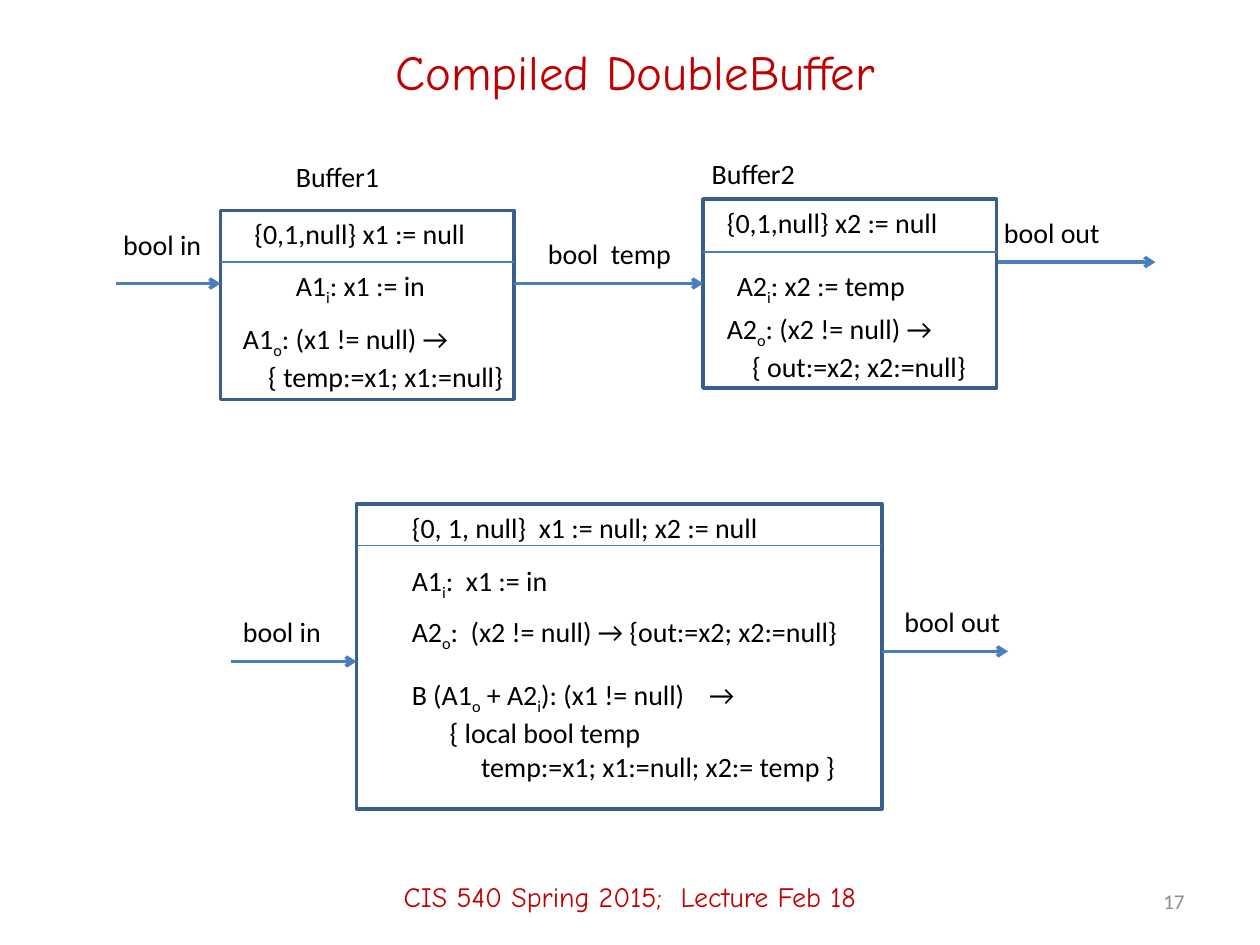
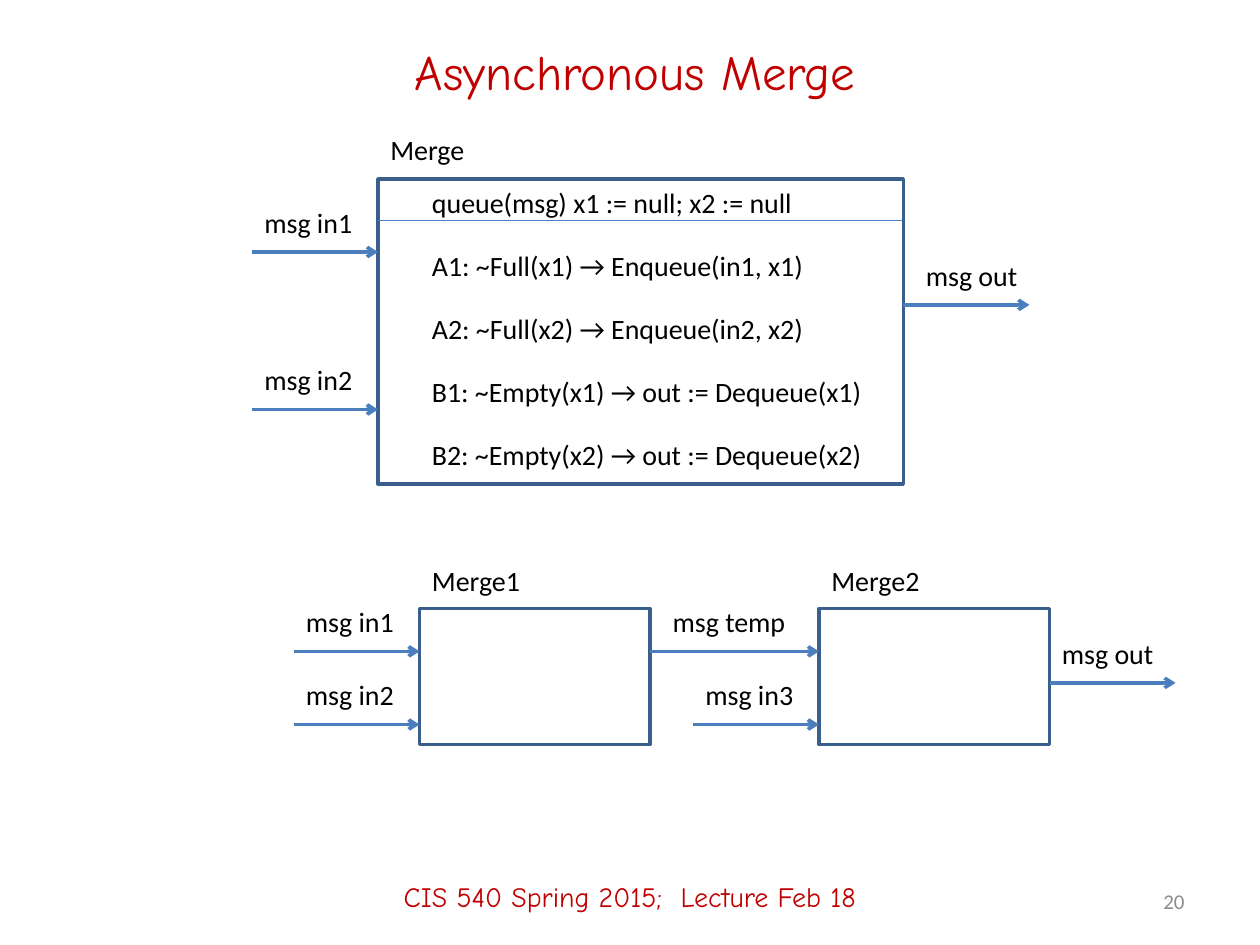
from dataclasses import dataclass

from lxml import etree
from pptx import Presentation
from pptx.dml.color import RGBColor
from pptx.enum import shapes, text
from pptx.oxml.ns import qn
from pptx.util import Inches, Pt


@dataclass(frozen=True)
class Theme:
    accent: str = "C00000"
    ink: str = "000000"
    muted: str = "8C8C8C"
    outline: str = "3A5F8C"
    wire: str = "4B7EBC"
    heading_font: str = "Comic Neue"
    body_font: str = "Calibri"
    title_size: int = 28
    body_size: int = 16
    number_size: int = 12
    thick: float = 2
    thin: float = 0.75


THEME = Theme()
FOOTER = "CIS 540 Spring 2015;  Lecture Feb 18"
LINE_HEIGHT = 0.27
LABEL_HEIGHT = 0.37
LABEL_RISE = 0.42


@dataclass
class Rule:
    """Text inside a component, placed from the component's top left corner."""
    dx: float
    dy: float
    width: float
    lines: tuple  # each a string, or an (indent, string) pair
    wrap: bool = False
    tab: float = 0


def style(paragraph, size, color=THEME.ink, font=THEME.body_font, align=None):
    paragraph.font.size = Pt(size)
    paragraph.font.name = font
    paragraph.font.color.rgb = RGBColor.from_string(color)
    if align is not None:
        paragraph.alignment = align


def write(paragraph, marked):
    """Add runs; parts between bars become subscripts."""
    for index, part in enumerate(marked.split("|")):
        span = paragraph.add_run()
        span.text = part
        if index % 2:
            span._r.get_or_add_rPr().set("baseline", "-25000")


def add_tab(paragraph, position):
    stops = etree.SubElement(paragraph._p.get_or_add_pPr(), qn("a:tabLst"))
    etree.SubElement(stops, qn("a:tab"), pos=str(Inches(position)), algn="l")


def add_text(page, left, top, width, lines, wrap=False, tab=0):
    height = LABEL_HEIGHT + LINE_HEIGHT * (len(lines) - 1)
    box = page.shapes.add_textbox(
        Inches(left), Inches(top), Inches(width), Inches(height))
    frame = box.text_frame
    frame.word_wrap = wrap
    frame.auto_size = text.MSO_AUTO_SIZE.SHAPE_TO_FIT_TEXT
    for index, line in enumerate(lines):
        indent, words = (0, line) if isinstance(line, str) else line
        paragraph = frame.add_paragraph() if index else frame.paragraphs[0]
        if indent:
            paragraph._p.get_or_add_pPr().set("marL", str(Inches(indent)))
        if tab and "\t" in words:
            add_tab(paragraph, tab)
        write(paragraph, words)
        style(paragraph, THEME.body_size)


def add_line(page, left, top, length, weight, arrow=False):
    line = page.shapes.add_connector(
        shapes.MSO_CONNECTOR.STRAIGHT,
        Inches(left), Inches(top), Inches(left + length), Inches(top))
    line.line.color.rgb = RGBColor.from_string(THEME.wire)
    line.line.width = Pt(weight)
    if arrow:
        etree.SubElement(line.line._get_or_add_ln(), qn("a:tailEnd"), type="arrow")
    etree.SubElement(line._element.spPr, qn("a:effectLst"))


def add_channel(page, left, top, length, label, width, dx=0, rise=LABEL_RISE):
    """Arrow with its message label above it."""
    add_line(page, left, top, length, THEME.thick, arrow=True)
    add_text(page, left + dx, top - rise, width, [label])


def add_component(page, left, top, width, height, divider=0, rules=(), name=None):
    """Outlined process box; name is (text, dx, rise, text width)."""
    box = page.shapes.add_shape(
        shapes.MSO_SHAPE.RECTANGLE,
        Inches(left), Inches(top), Inches(width), Inches(height))
    box.shadow.inherit = False
    box.fill.background()
    box.line.color.rgb = RGBColor.from_string(THEME.outline)
    box.line.width = Pt(THEME.thick)
    if divider:
        add_line(page, left, top + divider, width, THEME.thin)
    if name:
        title, dx, rise, title_width = name
        add_text(page, left + dx, top - rise, title_width, [title])
    for rule in rules:
        add_text(page, left + rule.dx, top + rule.dy, rule.width,
                 rule.lines, rule.wrap, rule.tab)


def add_band(page, left, top, width, height, words, **look):
    box = page.shapes.add_textbox(
        Inches(left), Inches(top), Inches(width), Inches(height))
    frame = box.text_frame
    frame.word_wrap = True
    frame.vertical_anchor = text.MSO_ANCHOR.MIDDLE
    frame.text = words
    style(frame.paragraphs[0], **look)


def add_page(deck, title, number):
    page = deck.slides.add_slide(deck.slide_layouts[5])
    heading = page.shapes.title
    heading.left, heading.top = Inches(0.75), Inches(0.17)
    heading.width, heading.height = Inches(8.58), Inches(0.78)
    frame = heading.text_frame
    frame.text = title
    frame.vertical_anchor = text.MSO_ANCHOR.MIDDLE
    center = text.PP_ALIGN.CENTER
    style(frame.paragraphs[0], THEME.title_size, THEME.accent,
          THEME.heading_font, center)
    add_band(page, 0, 6.72, 10, 0.78, FOOTER, size=THEME.body_size,
             color=THEME.accent, font=THEME.heading_font, align=center)
    add_band(page, 7.17, 6.95, 2.33, 0.4, str(number), size=THEME.number_size,
             color=THEME.muted, align=text.PP_ALIGN.RIGHT)
    return page


def draw_buffer_chain(page, left, top):
    """Two buffers in series; left and top are the first buffer's corner."""
    add_component(page, left, top, 2.33, 1.5, 0.41, [
        Rule(0.17, 0, 1.89, ("{0,1,null} x1 := null",)),
        Rule(0.5, 0.41, 1.24, ("A1|i|: x1 := in",)),
        Rule(0.08, 0.83, 2.29,
             ("A1|o|: (x1 != null) →", (0.2, "{ temp:=x1; x1:=null}"))),
    ], ("Buffer1", 0.5, 0.45, 0.88))
    add_component(page, left + 3.83, top - 0.09, 2.33, 1.5, 0.42, [
        Rule(0.09, 0, 1.89, ("{0,1,null} x2 := null",)),
        Rule(0.17, 0.5, 1.56, ("A2|i|: x2 := temp",)),
        Rule(0.09, 0.84, 2.12,
             ("A2|o|: (x2 != null) →", (0.2, "{ out:=x2; x2:=null}"))),
    ], ("Buffer2", -0.03, 0.39, 0.88))
    add_channel(page, left - 0.83, top + 0.58, 0.83, "bool in", 0.83, -0.04, 0.49)
    add_channel(page, left + 2.33, top + 0.58, 1.5, "bool  temp", 1.19, 0.17)
    add_channel(page, left + 6.17, top + 0.41, 1.25, "bool out", 0.97, -0.05)


def draw_compiled_buffer(page, left, top):
    inset = 0.34
    add_component(page, left, top, 4.17, 2.42, 0.33, [
        Rule(inset, 0, 2.97, ("{0, 1, null}  x1 := null; x2 := null",)),
        Rule(inset, 0.42, 1.29, ("A1|i|:  x1 := in",)),
        Rule(inset, 0.83, 3.64, ("A2|o|:  (x2 != null) → {out:=x2; x2:=null}",)),
        Rule(inset, 1.33, 3.67,
             ("B (A1|o| + A2|i|): (x1 != null)\t→",
              (0.3, "{ local bool temp"),
              (0.55, "temp:=x1; x1:=null; x2:= temp }")), wrap=True, tab=2.36),
    ])
    add_channel(page, left - 1, top + 1.25, 1, "bool in", 0.83)
    add_channel(page, left + 4.17, top + 1.17, 1, "bool out", 0.97, 0.08)


def draw_merge(page, left, top):
    tasks = [
        ("A1: ~Full(x1) → Enqueue(in1, x1)", 3.2),
        ("A2: ~Full(x2) → Enqueue(in2, x2)", 3.2),
        ("B1: ~Empty(x1) → out := Dequeue(x1)", 3.7),
        ("B2: ~Empty(x2) → out := Dequeue(x2)", 3.7),
    ]
    rules = [Rule(0.33, 0, 3.09, ("queue(msg) x1 := null; x2 := null",))]
    rules += [Rule(0.33, 0.5 * row, width, (words,))
              for row, (words, width) in enumerate(tasks, 1)]
    add_component(page, left, top, 4.17, 2.42, 0.33, rules,
                  ("Merge", 0, LABEL_RISE, 0.8))
    for label, drop in (("msg in1", 0.58), ("msg in2", 1.83)):
        add_channel(page, left - 1, top + drop, 1, label, 0.91)
    add_channel(page, left + 4.17, top + 1, 1, "msg out", 0.94, 0.08)


def draw_merge_chain(page, left, top):
    """Two merges in series; left and top are the first merge's corner."""
    width, step = 1.83, 3.17
    upper, lower = top + 0.34, top + 0.92
    for index, name in enumerate(("Merge1", "Merge2")):
        add_component(page, left + index * step, top, width, 1.08,
                      name=(name, 0, 0.41, 0.91))
    add_channel(page, left - 1, upper, 1, "msg in1", 0.91)
    add_channel(page, left - 1, lower, 1, "msg in2", 0.91)
    add_channel(page, left + width, upper, step - width, "msg temp", 1.11, 0.08)
    add_channel(page, left + step - 1, lower, 1, "msg in3", 0.91)
    add_channel(page, left + step + width, top + 0.59, 1, "msg out", 0.94)


def main():
    deck = Presentation()
    deck.slide_width, deck.slide_height = Inches(10), Inches(7.5)

    page = add_page(deck, "Compiled DoubleBuffer", 17)
    draw_buffer_chain(page, 1.75, 1.67)
    draw_compiled_buffer(page, 2.83, 4)

    page = add_page(deck, "Asynchronous Merge", 20)
    draw_merge(page, 3, 1.42)
    draw_merge_chain(page, 3.33, 4.83)

    deck.save("out.pptx")


if __name__ == "__main__":
    main()
